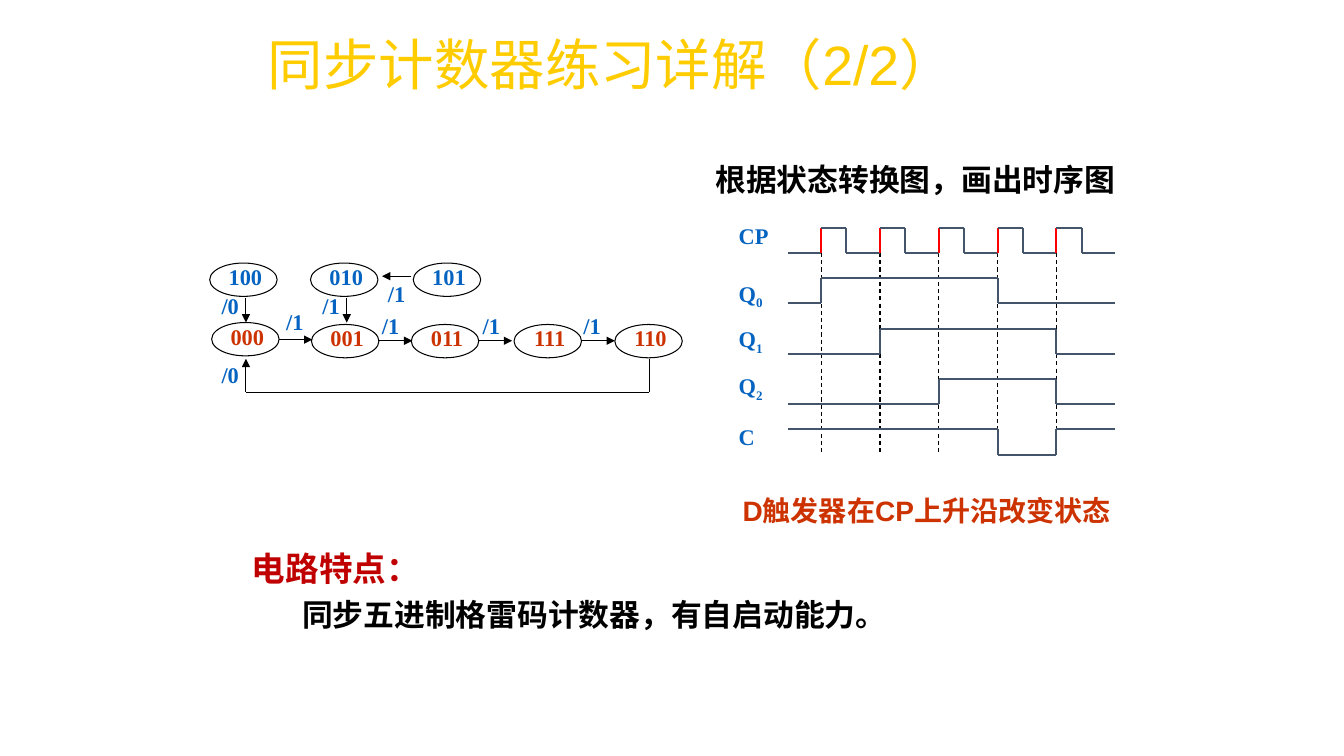
from itertools import groupby

from lxml import etree
from pptx import Presentation
from pptx.dml.color import RGBColor
from pptx.enum import dml, shapes, text
from pptx.oxml import ns
from pptx.util import Pt

BLACK = RGBColor(0x00, 0x00, 0x00)
GOLD = RGBColor(0xFF, 0xCC, 0x00)
CRIMSON = RGBColor(0xC0, 0x00, 0x00)
RUST = RGBColor(0xCC, 0x33, 0x00)
BLUE = RGBColor(0x05, 0x63, 0xC1)
SLATE = RGBColor(0x44, 0x54, 0x6A)
RED = RGBColor(0xFF, 0x00, 0x00)
SANS, SERIF, CJK = "Arial", "Times New Roman", "Noto Sans CJK SC"

# Content: text boxes as (left, top, width, height, paragraphs);
# each paragraph is (text, size, font, colour, bold, indent)
TITLE = (184.3, 23.8, 720, 48.2,
         [("同步计数器练习详解（2/2）", 39.6, SANS, GOLD, False, 0)])
BODY = [
    (172.8, 391, 471.6, 70.6,
     [("电路特点：", 24, CJK, CRIMSON, True, 0),
      ("同步五进制格雷码计数器，有自启动能力。", 22, CJK, BLACK, True, 36)]),
    (504, 114.5, 306, 31,
     [("根据状态转换图，画出时序图", 22, CJK, BLACK, True, 0)]),
    (487.4, 351.4, 335, 28.8,
     [("D触发器在CP上升沿改变状态", 20, SANS, RUST, True, 36)]),
]

# Timing diagram: label, subscript, label top, level in each clock interval
SIGNALS = [
    ("Q", "0", 196.6, "011100"),
    ("Q", "1", 229, "001110"),
    ("Q", "2", 262.8, "000110"),
    ("C", "", 301, "111101"),
]
CLOCK_LABEL_TOP = 157
WAVE_LEFT, WAVE_RIGHT = 562.6, 796.6
FIRST_EDGE, PERIOD, EDGE_COUNT = 586.6, 42, 5
FIRST_HIGH, ROW_STEP, SWING, PULSE = 162.7, 36, 18, 18

# State diagram: code, left, top, colour
STATES = [
    ("100", 149.8, 187.9, BLUE), ("010", 221.8, 187.9, BLUE),
    ("101", 295.2, 187.9, BLUE),
    ("000", 151.2, 230.4, RUST), ("001", 222.5, 231.8, RUST),
    ("011", 293.8, 231.8, RUST), ("111", 367.2, 231.8, RUST),
    ("110", 439.2, 231.8, RUST),
]
STATE_W, STATE_H = 48.2, 23.8
OUTPUTS = [
    ("/0", 151.2, 207.4), ("/1", 223.2, 207.4), ("/1", 270, 198.7),
    ("/1", 197.3, 218.9), ("/1", 265.7, 221.8), ("/1", 337.7, 221.8),
    ("/1", 409.7, 221.8), ("/0", 151.2, 256.3),
]
# Each path ends in an arrowhead
TRANSITIONS = [
    [(199.4, 242.6), (223.2, 242.6)],
    [(270, 243.4), (294.5, 243.4)],
    [(342, 243.4), (365.8, 243.4)],
    [(415.4, 243.4), (439.2, 243.4)],
    [(175.7, 213.1), (175.7, 230.4)],
    [(247.7, 213.1), (247.7, 230.4)],
    [(293.8, 197.3), (272.9, 197.3)],
    [(463.7, 256.3), (463.7, 280.1), (175.7, 280.1), (175.7, 256.3)],
]

prs = Presentation()
prs.slide_width, prs.slide_height = Pt(960), Pt(540)
s = prs.slides.add_slide(prs.slide_layouts[6])


def style(r, size, font, color, bold):
    r.font.size, r.font.name, r.font.bold = Pt(size), font, bold
    r.font.color.rgb = color
    ea = etree.SubElement(r.font._element, ns.qn("a:ea"))
    ea.set("typeface", CJK)


def add_text(left, top, width, height, paragraphs):
    sp = s.shapes.add_textbox(Pt(left), Pt(top), Pt(width), Pt(height))
    tf = sp.text_frame
    tf.word_wrap = True
    for i, (words, size, font, color, bold, indent) in enumerate(paragraphs):
        p = tf.add_paragraph() if i else tf.paragraphs[0]
        p.text = words
        p.line_spacing = 0.9
        if i:
            p.space_before = Pt(8)
        if indent:
            p._p.get_or_add_pPr().set("marL", str(Pt(indent)))
        style(p.runs[0], size, font, color, bold)
    return tf


def add_label(words, left, top, width):
    return add_text(left, top, width, 24.5,
                    [(words, 16, SERIF, BLUE, True, 0)])


def add_line(start, end, color, weight):
    sp = s.shapes.add_connector(shapes.MSO_CONNECTOR.STRAIGHT,
                                *[Pt(v) for v in (*start, *end)])
    sp.line.color.rgb, sp.line.width = color, Pt(weight)
    etree.SubElement(sp._element.spPr, ns.qn("a:effectLst"))
    return sp


def add_wave(levels, times, high, rise_color):
    """Draw one signal; times bound the intervals that levels describe."""
    points = []
    pos = 0
    for level, run in groupby(levels):
        y = high if level == "1" else high + SWING
        start, pos = pos, pos + len(list(run))
        points += [(times[start], y), (times[pos], y)]
    for a, b in zip(points, points[1:]):
        add_line(a, b, rise_color if b[1] < a[1] else SLATE, 1.5)


# Title and body text
add_text(*TITLE).vertical_anchor = text.MSO_ANCHOR.MIDDLE
for box in BODY:
    add_text(*box)

# Timing diagram
edges = [FIRST_EDGE + i * PERIOD for i in range(EDGE_COUNT)]
for x in edges:
    guide = add_line((x, FIRST_HIGH + SWING), (x, 324.7), BLACK, 0.75)
    guide.line.dash_style = dml.MSO_LINE.DASH
clock_times = [t for x in edges for t in (x, x + PULSE)]
add_wave("01" * EDGE_COUNT + "0", [WAVE_LEFT, *clock_times, WAVE_RIGHT],
         FIRST_HIGH, RED)
add_label("CP", 520.6, CLOCK_LABEL_TOP, 48.2)
for row, (name, sub, label_top, levels) in enumerate(SIGNALS, 1):
    add_wave(levels, [WAVE_LEFT, *edges, WAVE_RIGHT],
             FIRST_HIGH + row * ROW_STEP, SLATE)
    p = add_label(name, 520.6, label_top, 48.2).paragraphs[0]
    if sub:
        r = p.add_run()
        r.text = sub
        style(r, 16, SERIF, BLUE, True)
        r.font._element.set("baseline", "-25000")

# State diagram
for code, left, top, color in STATES:
    sp = s.shapes.add_shape(shapes.MSO_SHAPE.OVAL, Pt(left), Pt(top),
                            Pt(STATE_W), Pt(STATE_H))
    sp.shadow.inherit = False
    sp.fill.background()
    sp.line.color.rgb, sp.line.width = BLACK, Pt(0.75)
    tf = sp.text_frame
    tf.text = code
    tf.word_wrap = False
    tf.vertical_anchor = text.MSO_ANCHOR.MIDDLE
    tf.margin_left, tf.margin_right = Pt(2.8), 0
    tf.margin_top, tf.margin_bottom = 0, Pt(2)
    p = tf.paragraphs[0]
    p.alignment, p.line_spacing = text.PP_ALIGN.CENTER, 0.9
    style(p.runs[0], 16, SERIF, color, True)
for words, left, top in OUTPUTS:
    add_label(words, left, top, 36)
for route in TRANSITIONS:
    for a, b in zip(route, route[1:]):
        sp = add_line(a, b, BLACK, 0.75)
    tail = etree.SubElement(sp.line._get_or_add_ln(), ns.qn("a:tailEnd"))
    tail.set("type", "triangle")

prs.save("out.pptx")
